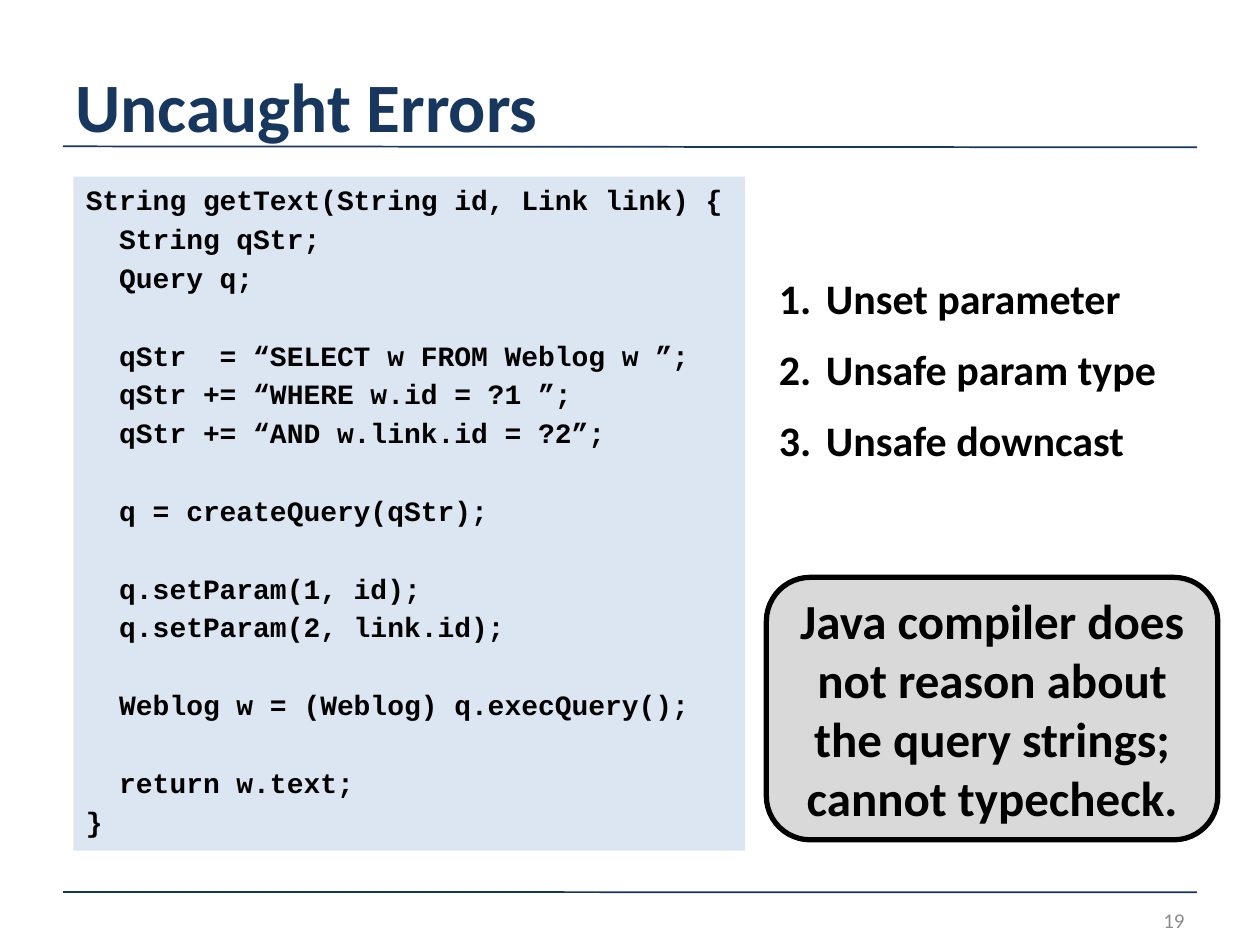
from pptx import Presentation
from pptx.dml.color import RGBColor
from pptx.enum.shapes import MSO_CONNECTOR as Conn, MSO_SHAPE as Form
from pptx.enum.text import MSO_ANCHOR as Anchor, PP_ALIGN as Align
from pptx.oxml.ns import qn
from pptx.util import Cm, Pt
from lxml.etree import SubElement as Sub

NAVY, BLACK = "17375E", "000000"
CODE = """String getText(String id, Link link) {
  String qStr;
  Query q;

  qStr  = “SELECT w FROM Weblog w ”;
  qStr += “WHERE w.id = ?1 ”;
  qStr += “AND w.link.id = ?2”;

  q = createQuery(qStr);

  q.setParam(1, id);
  q.setParam(2, link.id);

  Weblog w = (Weblog) q.execQuery();

  return w.text;
}"""


def color(code):
    return RGBColor.from_string(code)


def write(shape, text, size, tint=BLACK, bold=True, font="Calibri",
          align=Align.LEFT, anchor=Anchor.MIDDLE):
    """Fill the shape with text, one paragraph a line, and return its frame."""
    frame = shape.text_frame
    frame.text = text
    frame.word_wrap = True
    frame.vertical_anchor = anchor
    for para in frame.paragraphs:
        para.alignment = align
        for run in para.runs:
            run.font.name = font
            run.font.size = Pt(size)
            run.font.bold = bold
            run.font.color.rgb = color(tint)
        if not para.runs:
            end = Sub(para._p, qn("a:endParaRPr"), sz=str(size * 100), b="1")
            Sub(end, qn("a:latin"), typeface=font)
    return frame


deck = Presentation()
deck.slide_width, deck.slide_height = Cm(25.4), Cm(19.05)
slide = deck.slides.add_slide(deck.slide_layouts[6])
shapes = slide.shapes

# Rules under the title and above the page number
for start, stop in ((2.95, 2.97), (17.98, 17.99)):
    rule = shapes.add_connector(Conn.STRAIGHT, Cm(1.27), Cm(start),
                                Cm(24.13), Cm(stop))
    rule.line.color.rgb = color(NAVY)
    rule.line.width = Pt(1)
    Sub(rule._element.spPr, qn("a:effectLst"))

title = shapes.add_textbox(Cm(1.27), Cm(1.27), Cm(22.86), Cm(1.7))
write(title, "Uncaught Errors", 39.6, NAVY)

# Code panel
panel = shapes.add_shape(Form.RECTANGLE, Cm(1.48), Cm(3.56), Cm(13.54), Cm(13.59))
panel.shadow.inherit = False
panel.fill.solid()
panel.fill.fore_color.rgb = color("DCE6F2")
panel.line.fill.background()
frame = write(panel, CODE, 16, font="Courier New", anchor=Anchor.TOP)
for para in frame.paragraphs[1:]:
    para.space_before = Pt(3)

# Numbered errors
errors = shapes.add_textbox(Cm(15.45), Cm(5.36), Cm(8.69), Cm(4.19))
frame = write(errors, "Unset parameter\nUnsafe param type\nUnsafe downcast", 24,
              anchor=Anchor.TOP)
for para in frame.paragraphs:
    para.space_after = Pt(12)
    props = para._p.get_or_add_pPr()
    props.set("marL", str(Cm(0.95)))
    props.set("indent", str(-Cm(0.95)))
    Sub(props, qn("a:buFont"), typeface="+mj-lt")
    Sub(props, qn("a:buAutoNum"), type="arabicPeriod")

page = shapes.add_textbox(Cm(18.2), Cm(18.03), Cm(5.93), Cm(1.02))
write(page, "19", 12, "8C8C8C", bold=False, align=Align.RIGHT)

# Conclusion
note = shapes.add_shape(Form.ROUNDED_RECTANGLE, Cm(15.45), Cm(11.64),
                        Cm(9.1), Cm(5.29))
note.shadow.inherit = False
note.fill.solid()
note.fill.fore_color.rgb = color("D9D9D9")
note.line.color.rgb = color(BLACK)
note.line.width = Pt(3)
write(note, "Java compiler does not reason about the query strings; "
      "cannot typecheck.", 28, align=Align.CENTER)

deck.save("out.pptx")
